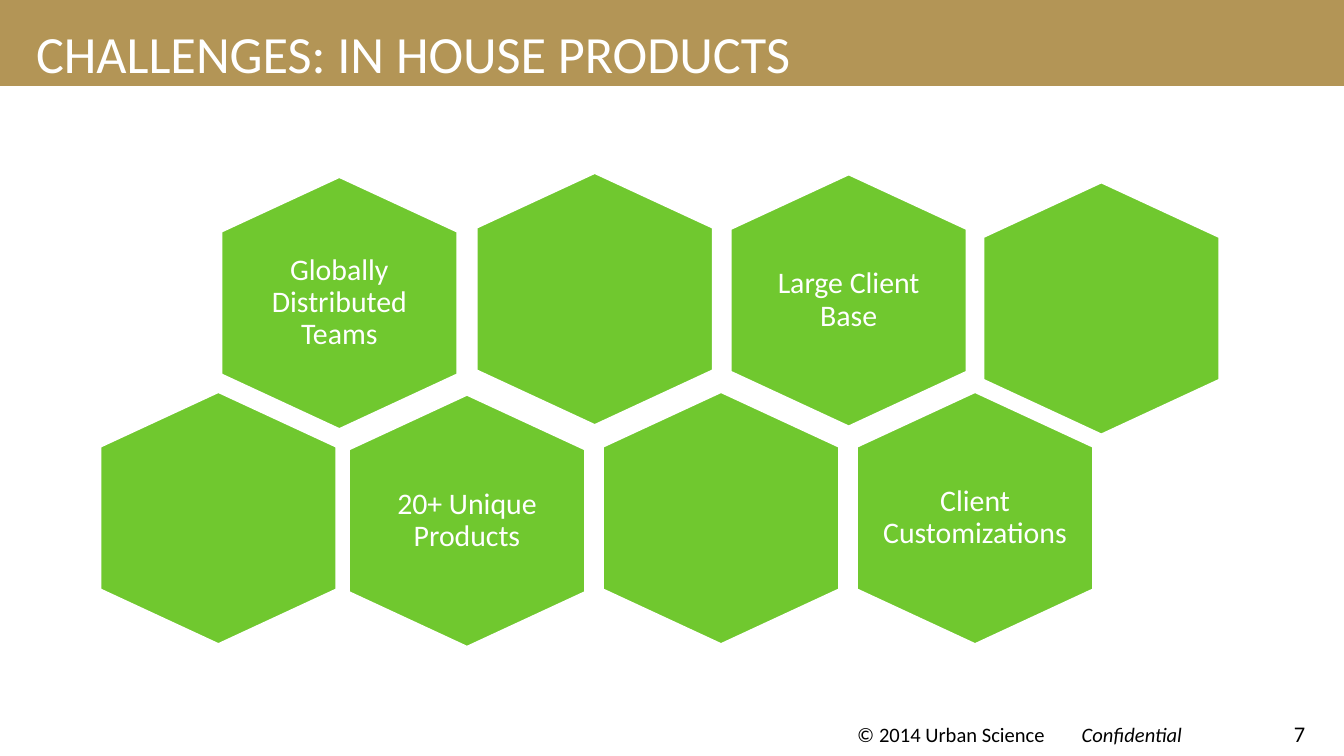
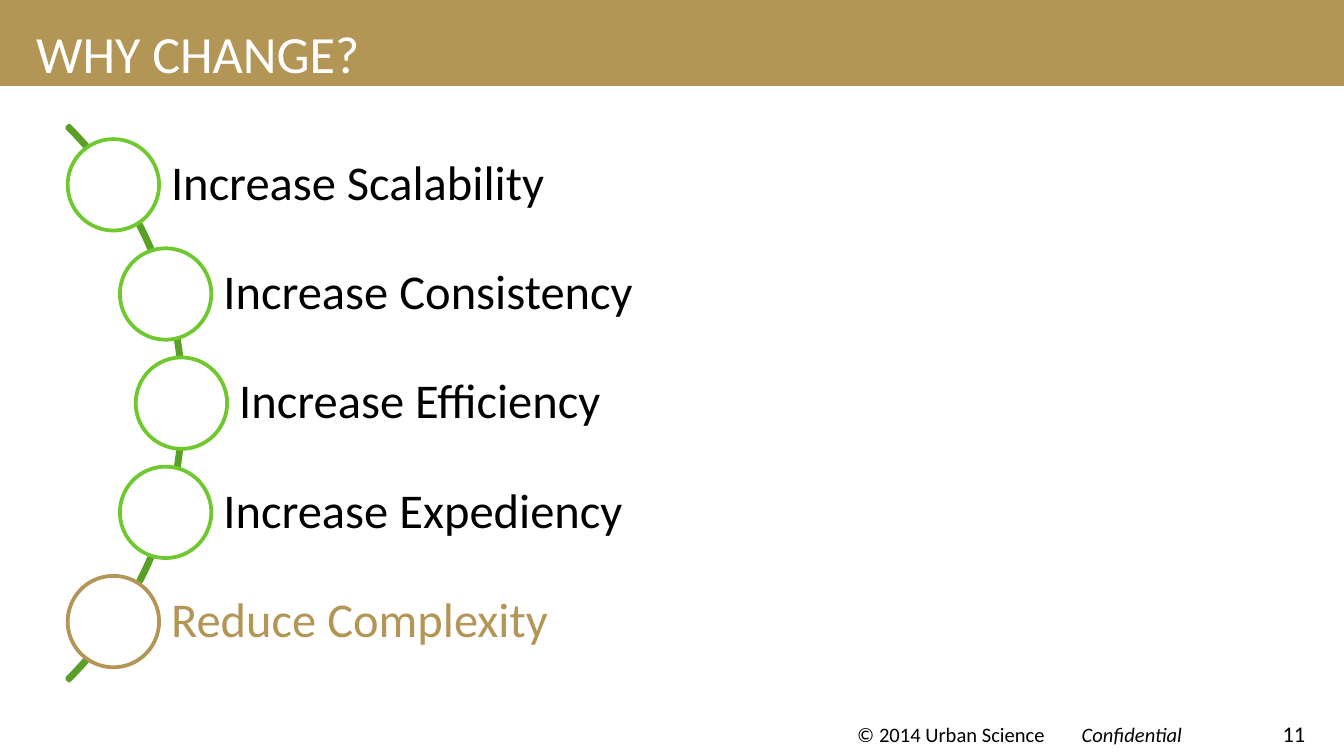
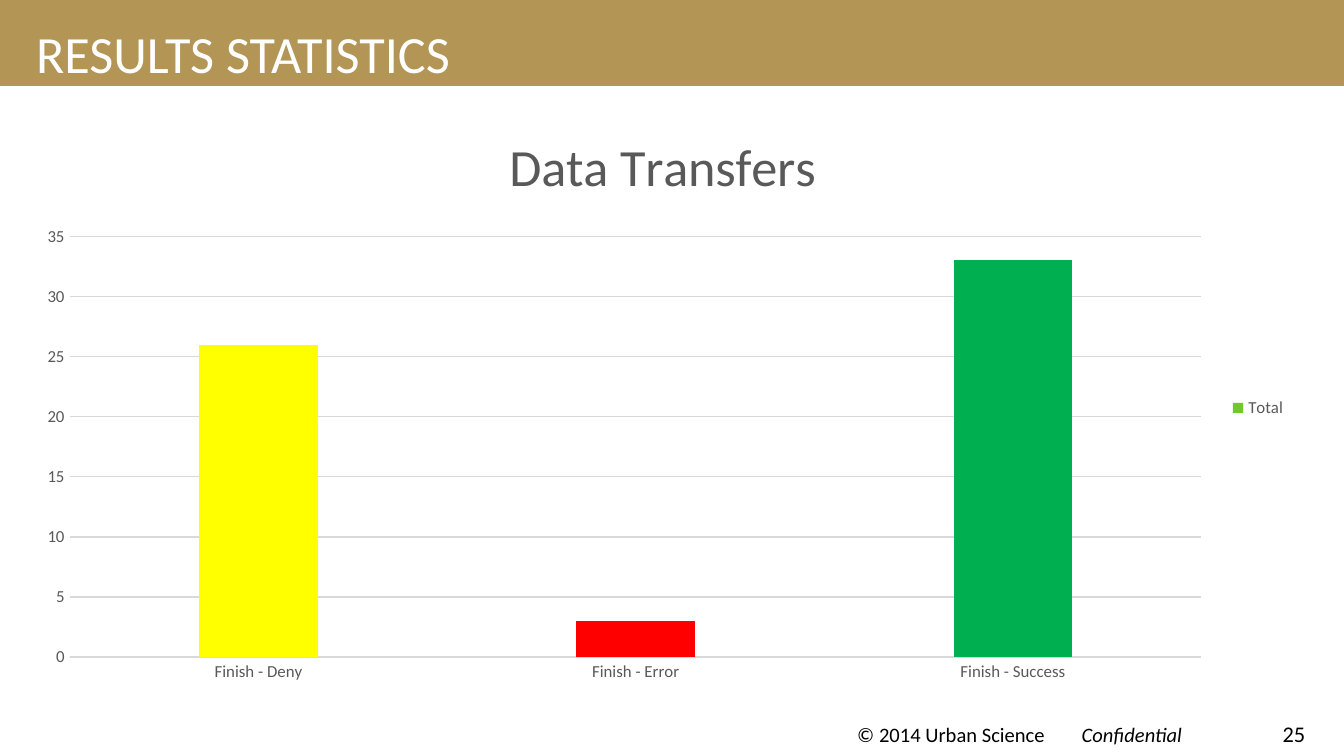
from math import sqrt

from lxml.etree import SubElement
from pptx import Presentation
from pptx.chart.data import CategoryChartData
from pptx.dml.color import RGBColor
from pptx.enum.chart import XL_CHART_TYPE, XL_LEGEND_POSITION, XL_TICK_MARK
from pptx.enum.shapes import MSO_SHAPE
from pptx.enum.text import MSO_ANCHOR, PP_ALIGN
from pptx.oxml.ns import qn
from pptx.util import Inches, Pt

FONT = "Calibri"
GOLD = RGBColor(0xB3, 0x95, 0x56)
GREEN = RGBColor(0x70, 0xC8, 0x2F)
DARK_GREEN = RGBColor(0x5A, 0xA0, 0x26)
WHITE = RGBColor(0xFF, 0xFF, 0xFF)
BLACK = RGBColor(0x00, 0x00, 0x00)
GRAY = RGBColor(0x59, 0x59, 0x59)
GRID_GRAY = RGBColor(0xD9, 0xD9, 0xD9)
YELLOW = RGBColor(0xFF, 0xFF, 0x00)
RED = RGBColor(0xFF, 0x00, 0x00)
SUCCESS_GREEN = RGBColor(0x00, 0xB0, 0x50)

WIDTH, HEIGHT = 10, 5.625


def write(shape, text, size, color, align=PP_ALIGN.LEFT, anchor=MSO_ANCHOR.TOP,
          margins=(0.1, 0.05, 0.1, 0.05), spacing=None):
    frame = shape.text_frame
    frame.word_wrap = True
    frame.vertical_anchor = anchor
    (frame.margin_left, frame.margin_top,
     frame.margin_right, frame.margin_bottom) = map(Inches, margins)
    para = frame.paragraphs[0]
    para.add_run().text = text
    para.alignment = align
    para.line_spacing = spacing
    para.font.name, para.font.size, para.font.color.rgb = FONT, Pt(size), color
    return para


def paint(shape, fill, line):
    shape.shadow.inherit = False
    if fill is None:
        shape.fill.background()
    else:
        shape.fill.solid()
        shape.fill.fore_color.rgb = fill
    if line is None:
        shape.line.fill.background()
    else:
        shape.line.color.rgb = line
        shape.line.width = Pt(2)


deck = Presentation()
deck.slide_width, deck.slide_height = Inches(WIDTH), Inches(HEIGHT)

# Title band and footer of every page
pages = []
for title, number in (("CHALLENGES: IN HOUSE PRODUCTS", 7),
                      ("WHY CHANGE?", 11),
                      ("RESULTS STATISTICS", 25)):
    page = deck.slides.add_slide(deck.slide_layouts[6])
    pages.append(page)
    band = page.shapes.add_shape(MSO_SHAPE.RECTANGLE, 0, 0, Inches(WIDTH), Inches(0.64))
    paint(band, GOLD, None)

    box = page.shapes.add_textbox(Inches(9.26), Inches(5.31), Inches(0.55), Inches(0.3))
    write(box, str(number), 12, BLACK, PP_ALIGN.RIGHT)

    box = page.shapes.add_textbox(Inches(6.28), Inches(5.32), Inches(2.98), Inches(0.29))
    para = write(box, "© 2014 Urban Science\t", 11, BLACK)
    span = para.add_run()
    span.text = "Confidential"
    span.font.italic = True
    tabs = SubElement(para._p.pPr, qn("a:tabLst"))
    SubElement(tabs, qn("a:tab"), pos=str(Inches(1.67)), algn="l")
    para._p.pPr.find(qn("a:defRPr")).addprevious(tabs)

    box = page.shapes.add_textbox(Inches(0.17), Inches(0.11), Inches(9.58), Inches(0.5))
    write(box, title, 28, WHITE)

challenges, reasons, results = pages

# Honeycomb of challenges
HEX_WIDTH, HEX_HEIGHT, SHOULDER = 1.77, 1.89, 0.41
for left, top, label in ((1.64, 1.31, "Globally Distributed Teams"),
                         (3.54, 1.28, ""),
                         (2.59, 2.93, "20+ Unique Products"),
                         (5.43, 1.29, "Large Client Base"),
                         (6.37, 2.91, "Client Customizations"),
                         (4.48, 2.91, ""),
                         (0.74, 2.91, ""),
                         (7.31, 1.35, "")):
    middle, right, bottom = left + HEX_WIDTH / 2, left + HEX_WIDTH, top + HEX_HEIGHT
    corners = [(Inches(x), Inches(y)) for x, y in (
        (middle, top), (right, top + SHOULDER), (right, bottom - SHOULDER),
        (middle, bottom), (left, bottom - SHOULDER), (left, top + SHOULDER))]
    outline = challenges.shapes.build_freeform(*corners[0])
    outline.add_line_segments(corners[1:])
    hexagon = outline.convert_to_shape()
    paint(hexagon, GREEN, WHITE)
    if label:
        write(hexagon, label, 16, WHITE, PP_ALIGN.CENTER, MSO_ANCHOR.MIDDLE,
              (0.16, 0.17, 0.16, 0.17), 0.9)

# Arc behind the reasons
ARC_X, ARC_Y, ARC_RADIUS = -1.55, 3, 2.92
arc = reasons.shapes.add_shape(
    MSO_SHAPE.BLOCK_ARC, Inches(ARC_X - ARC_RADIUS), Inches(ARC_Y - ARC_RADIUS),
    Inches(2 * ARC_RADIUS), Inches(2 * ARC_RADIUS))
for index, value in enumerate((189, 27, 0.004)):
    arc.adjustments[index] = value
paint(arc, None, DARK_GREEN)

# Reasons, each with a circle centred on a curve close to the arc
CURVE_X, CURVE_RADIUS, STEP = -1.51, 2.86, 3.25 / 4
DIAMETER, ROW_HEIGHT, ROW_RIGHT = 0.68, 0.54, 9.56
for index, (reason, ring, color) in enumerate((
        ("Increase Scalability", GREEN, BLACK),
        ("Increase Consistency", GREEN, BLACK),
        ("Increase Efficiency", GREEN, BLACK),
        ("Increase Expediency", GREEN, BLACK),
        ("Reduce Complexity", GOLD, GOLD))):
    offset = (index - 2) * STEP
    x, y = CURVE_X + sqrt(CURVE_RADIUS ** 2 - offset ** 2), ARC_Y + offset
    row = reasons.shapes.add_shape(MSO_SHAPE.RECTANGLE, Inches(x), Inches(y - ROW_HEIGHT / 2),
                                   Inches(ROW_RIGHT - x), Inches(ROW_HEIGHT))
    paint(row, None, WHITE)
    write(row, reason, 26, color, anchor=MSO_ANCHOR.MIDDLE,
          margins=(0.43, 0.07, 0.07, 0.07), spacing=0.9)
    circle = reasons.shapes.add_shape(
        MSO_SHAPE.OVAL, Inches(x - DIAMETER / 2), Inches(y - DIAMETER / 2),
        Inches(DIAMETER), Inches(DIAMETER))
    paint(circle, WHITE, ring)

# Column chart of transfers
CHART_WIDTH, CHART_HEIGHT = 9.5, 4.27
data = CategoryChartData()
data.categories = ["Finish - Deny", "Finish - Error", "Finish - Success"]
data.add_series("Total", (26, 3, 33))
chart = results.shapes.add_chart(XL_CHART_TYPE.COLUMN_CLUSTERED, Inches(0.17), Inches(0.9),
                                 Inches(CHART_WIDTH), Inches(CHART_HEIGHT), data).chart
chart.font.name, chart.font.size, chart.font.color.rgb = FONT, Pt(10), BLACK

chart.has_title = True
para = chart.chart_title.text_frame.paragraphs[0]
para.add_run().text = "Data Transfers"
para.font.name, para.font.size, para.font.bold = FONT, Pt(28), False
para.font.color.rgb = GRAY

chart.has_legend = True
chart.legend.position = XL_LEGEND_POSITION.RIGHT
chart.legend.include_in_layout = False
categories, values = chart.category_axis, chart.value_axis
for font in (chart.legend.font, categories.tick_labels.font, values.tick_labels.font):
    font.name, font.size, font.color.rgb = FONT, Pt(9), GRAY

for axis in (categories, values):
    axis.major_tick_mark = axis.minor_tick_mark = XL_TICK_MARK.NONE
values.minimum_scale, values.maximum_scale, values.major_unit = 0, 35, 5
values.format.line.fill.background()
for line in (categories.format.line, values.major_gridlines.format.line):
    line.color.rgb = GRID_GRAY
    line.width = Pt(0.75)

plot = chart.plots[0]
plot.vary_by_categories = False
plot.gap_width, plot.overlap = 219, -27
total = plot.series[0]
total.format.fill.solid()
total.format.fill.fore_color.rgb = GREEN
for index, color in enumerate((YELLOW, RED, SUCCESS_GREEN)):
    fill = total.points[index].format.fill
    fill.solid()
    fill.fore_color.rgb = color

# Places of the chart title and plot area, as shares of the chart
chart_xml = chart._chartSpace.chart
title_xml, plot_xml = chart_xml.find(qn("c:title")), chart_xml.plotArea
for parent, places in (
        (title_xml, (("xMode", "edge"), ("yMode", "edge"),
                     ("x", 3.55 / CHART_WIDTH), ("y", 0.01 / CHART_HEIGHT))),
        (plot_xml, (("layoutTarget", "inner"), ("xMode", "edge"), ("yMode", "edge"),
                    ("x", 0.35 / CHART_WIDTH), ("y", 0.86 / CHART_HEIGHT),
                    ("w", 8.42 / CHART_WIDTH), ("h", 3.13 / CHART_HEIGHT)))):
    layout = parent.find(qn("c:layout"))
    if layout is None:
        layout = SubElement(parent, qn("c:layout"))
        parent.insert(1 if parent is title_xml else 0, layout)
    manual = SubElement(layout, qn("c:manualLayout"))
    for name, value in places:
        SubElement(manual, qn("c:" + name), val=str(value))

deck.save("out.pptx")
